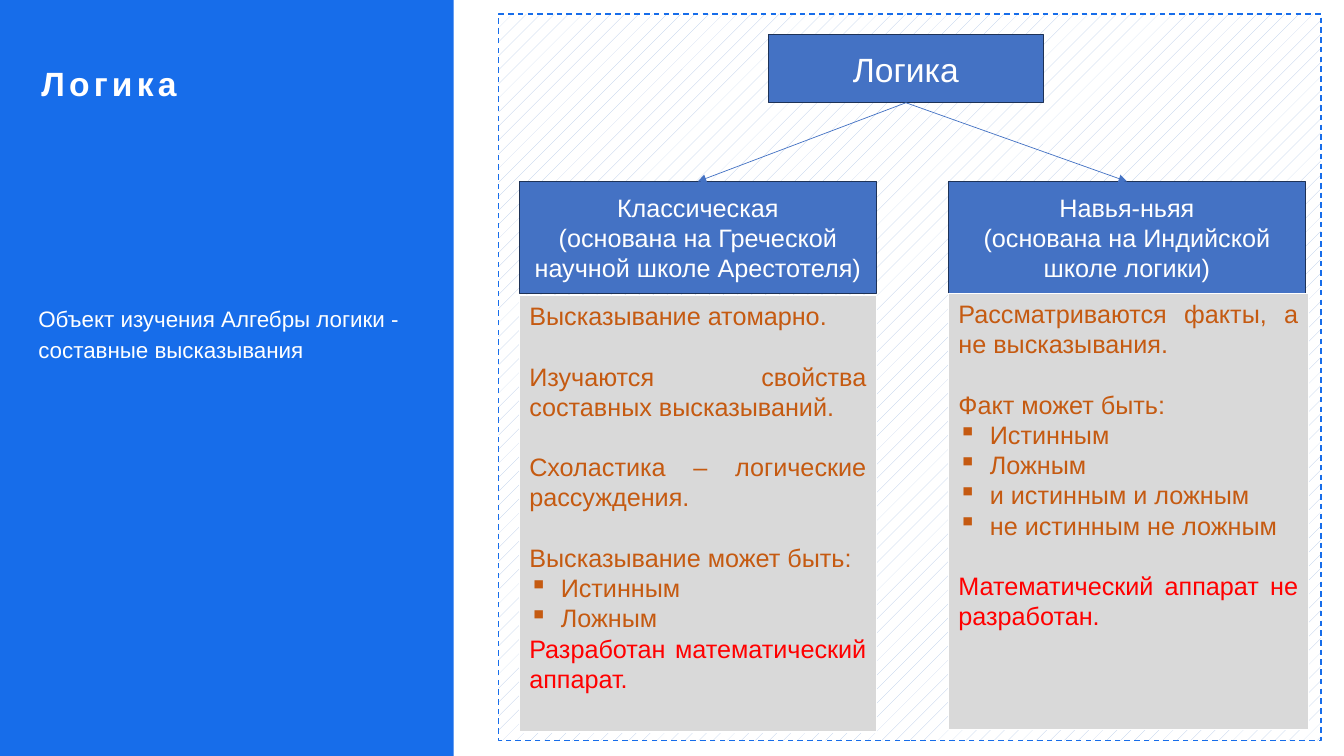
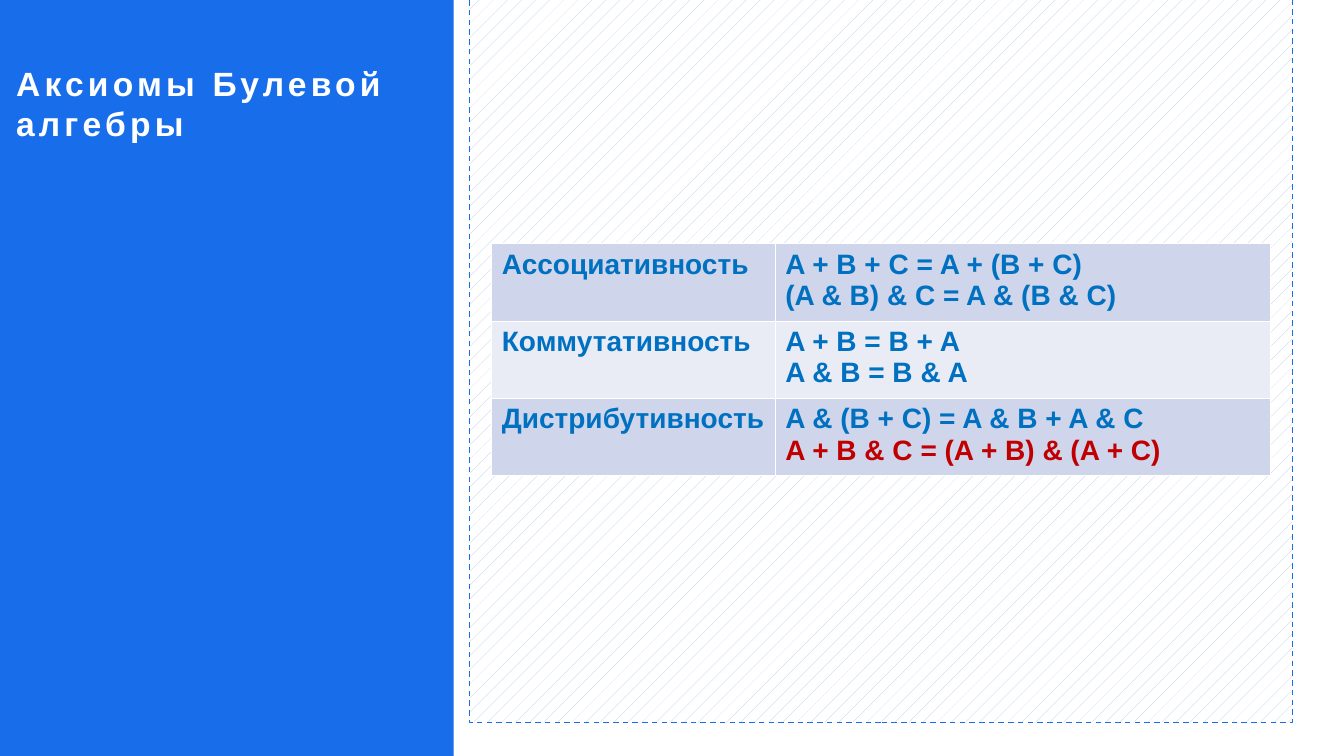
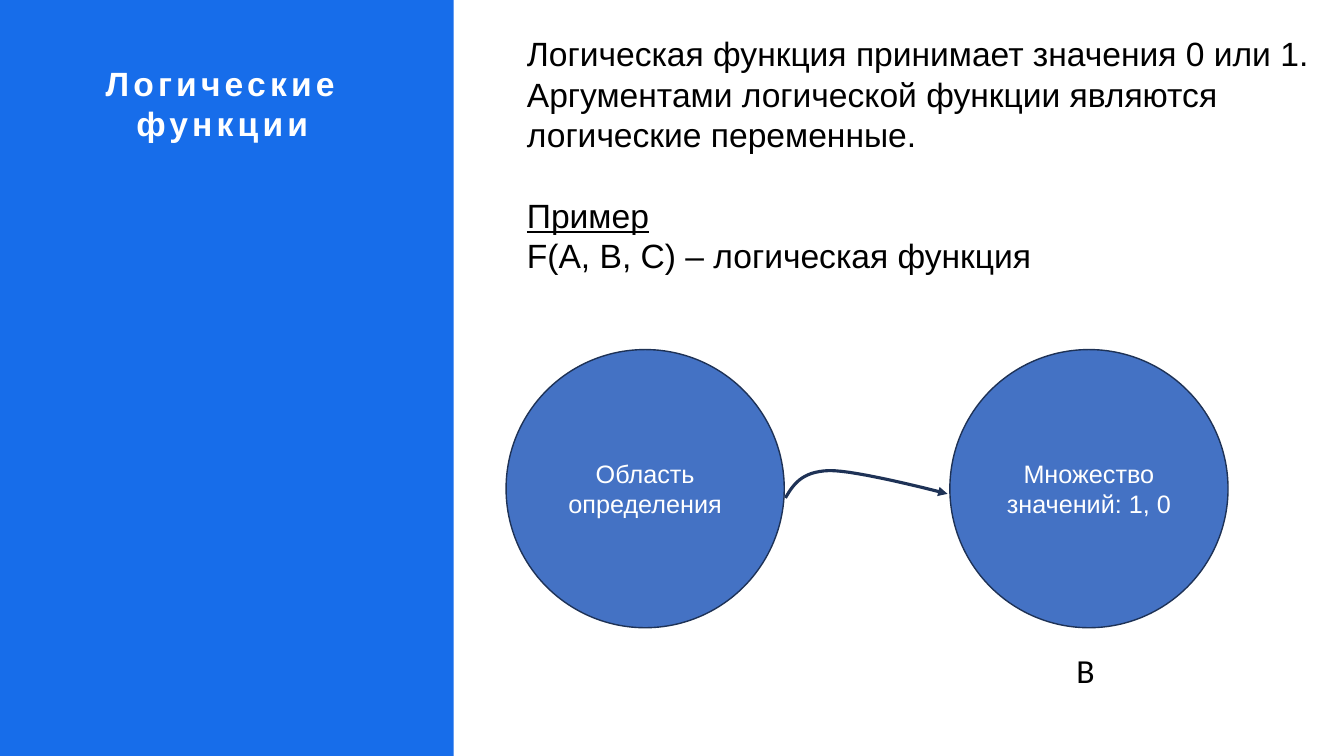
"""Builds three slides on logic: two schools, Boolean axioms, logical functions."""
import lxml.etree
import pptx
import pptx.dml.color
import pptx.enum.dml
import pptx.enum.shapes
import pptx.enum.text
import pptx.oxml.ns
import pptx.util

Pt = pptx.util.Pt
qn = pptx.oxml.ns.qn
SHAPE = pptx.enum.shapes.MSO_SHAPE
ALIGN = pptx.enum.text.PP_ALIGN
ANCHOR = pptx.enum.text.MSO_ANCHOR

BRAND, BOX, EDGE, WHITE, BLACK = "176DEA", "4472C4", "1E3256", "FFFFFF", "000000"
GREY, BROWN, RED = "D9D9D9", "C55A11", "FF0000"
AXIOM, AXIOM_RED, ROW_FILLS = "0070C0", "C00000", ("CFD5EA", "E9EBF5")
LEADING = 1.2

GAP = {"gap": True}
BULLET = {"bullet": True}
SUBJECT = "Объект изучения Алгебры логики - составные высказывания"
SCHOOLS = [
    {"left": 371, "width": 255, "top": 211,
     "head": ["Классическая", "(основана на Греческой научной школе Арестотеля)"],
     "body": [("Высказывание атомарно.", {}),
              ("Изучаются свойства составных высказываний.", GAP),
              ("Схоластика – логические рассуждения.", GAP),
              ("Высказывание может быть:", GAP),
              ("Истинным", BULLET),
              ("Ложным", BULLET),
              ("Разработан математический аппарат.", {"color": RED})]},
    {"left": 677.5, "width": 257, "top": 209.5,
     "head": ["Навья-ньяя", "(основана на Индийской школе логики)"],
     "body": [("Рассматриваются факты, а не высказывания.", {}),
              ("Факт может быть:", GAP),
              ("Истинным", BULLET),
              ("Ложным", BULLET),
              ("и истинным и ложным", BULLET),
              ("не истинным не ложным", BULLET),
              ("Математический аппарат не разработан.", {"color": RED, "gap": True})]},
]
AXIOMS = [
    ("Ассоциативность", [("A + B + C = A + (B + C)", {}), ("(A & B) & C = A & (B & C)", {})]),
    ("Коммутативность", [("A + B = B + A", {}), ("A & B = B & A", {})]),
    ("Дистрибутивность", [("A & (B + C) = A & B + A & C", {}),
                          ("A + B & C = (A + B) & (A + C)", {"color": AXIOM_RED})]),
]
FUNCTION_TEXT = [
    ("Логическая функция принимает значения 0 или 1.", {}),
    ("Аргументами логической функции являются логические переменные.", {}),
    ("Пример", {"gap": True, "underline": True}),
    ("F(A, B, C) – логическая функция", {}),
]
SETS = [(361.5, "Область определения"), (678.5, "Множество значений: 1, 0")]
CURVE = [[(561, 355.7), (566.6, 346.3), (572.4, 337), (591.8, 336.2)],
         [(591.8, 336.2), (611.3, 335.5), (676.8, 352.8), (676.8, 352.8)]]


def rgb(value):
    return pptx.dml.color.RGBColor.from_string(value)


def write(tf, lines, size, color, align=ALIGN.LEFT, bold=False, font="Arial", leading=LEADING):
    tf.word_wrap = True
    for i, (text, look) in enumerate(lines):
        p = tf.paragraphs[0] if i == 0 else tf.add_paragraph()
        p.text = text
        p.alignment = align
        if leading:
            p.line_spacing = Pt(size * leading)
        if look.get("gap"):
            p.space_before = Pt(size * leading)
        p.font.name, p.font.size, p.font.bold = font, Pt(size), bold
        p.font.underline = look.get("underline", False)
        p.font.color.rgb = rgb(look.get("color", color))
        if look.get("bullet"):
            pPr = p._p.get_or_add_pPr()
            pPr.set("marL", str(Pt(22.5)))
            pPr.set("indent", str(-Pt(22.5)))
            mark = lxml.etree.Element(qn("a:buChar"), char="▪")
            pPr.find(qn("a:defRPr")).addprevious(mark)


def add_box(s, kind, at, fill=None, line=None, width=1):
    sp = s.shapes.add_shape(kind, *map(Pt, at))
    sp.shadow.inherit = False
    if fill:
        sp.fill.solid()
        sp.fill.fore_color.rgb = rgb(fill)
    if line:
        sp.line.color.rgb = rgb(line)
        sp.line.width = Pt(width)
    else:
        sp.line.fill.background()
    return sp


def add_node(s, kind, at, texts, size=18):
    sp = add_box(s, kind, at, BOX, EDGE)
    sp.text_frame.vertical_anchor = ANCHOR.MIDDLE
    write(sp.text_frame, [(text, {}) for text in texts], size, WHITE, ALIGN.CENTER)
    return sp


def add_text(s, at, lines, size, color, inset=True, **style):
    sp = s.shapes.add_textbox(*map(Pt, at))
    if not inset:
        clear_insets(sp.text_frame)
    write(sp.text_frame, lines, size, color, **style)


def clear_insets(tf):
    tf.margin_left = tf.margin_top = tf.margin_right = tf.margin_bottom = 0


def add_slide(prs, title, left, align=ALIGN.LEFT):
    s = prs.slides.add_slide(prs.slide_layouts[5])
    sp = s.shapes.title
    sp.left, sp.top, sp.width, sp.height = Pt(left), Pt(44.6), Pt(294.5), Pt(58)
    tf = sp.text_frame
    clear_insets(tf)
    tf.auto_size = pptx.enum.text.MSO_AUTO_SIZE.NONE
    tf.vertical_anchor = ANCHOR.TOP
    write(tf, [(title, {})], 24, WHITE, align, bold=True)
    tf.paragraphs[0].runs[0]._r.get_or_add_rPr().set("spc", "300")
    band = add_box(s, SHAPE.RECTANGLE, (0, 0, 324, 540), BRAND)
    sp.element.addprevious(band.element)
    return s


def add_panel(s, left, top):
    sp = add_box(s, SHAPE.RECTANGLE, (left, top, 587.5, 519), line=BRAND)
    sp.fill.patterned()
    sp.fill.pattern = pptx.enum.dml.MSO_PATTERN.PERCENT_5
    sp.fill.fore_color.rgb = rgb("B4C7E7")
    sp.fill.back_color.rgb = rgb(WHITE)
    sp.line.dash_style = pptx.enum.dml.MSO_LINE.DASH


def add_arrowhead(sp):
    lxml.etree.SubElement(sp.line._get_or_add_ln(), qn("a:tailEnd"), type="triangle")


def connect(s, start, end):
    c = s.shapes.add_connector(pptx.enum.shapes.MSO_CONNECTOR.STRAIGHT, 0, 0, 0, 0)
    c.begin_connect(start, 2)
    c.end_connect(end, 0)
    c.line.color.rgb = rgb(BOX)
    c.line.width = Pt(0.5)
    add_arrowhead(c)
    lxml.etree.SubElement(c._element.spPr, qn("a:effectLst"))


def fill_cell(cell, lines, fill):
    cell.fill.solid()
    cell.fill.fore_color.rgb = rgb(fill)
    write(cell.text_frame, lines, 20, AXIOM, bold=True, leading=None)
    tcPr = cell._tc.get_or_add_tcPr()
    for i, side in enumerate(("lnL", "lnR", "lnT", "lnB")):
        ln = lxml.etree.Element(qn("a:" + side), w=str(Pt(1)))
        solid = lxml.etree.SubElement(ln, qn("a:solidFill"))
        lxml.etree.SubElement(solid, qn("a:srgbClr"), val=WHITE)
        tcPr.insert(i, ln)


def bezier(points, t):
    weights = ((1 - t) ** 3, 3 * t * (1 - t) ** 2, 3 * t * t * (1 - t), t ** 3)
    return tuple(Pt(sum(w * p[axis] for w, p in zip(weights, points))) for axis in (0, 1))


def add_curve(s, curve, steps=16):
    points = [bezier(part, i / steps) for part in curve for i in range(1, steps + 1)]
    builder = s.shapes.build_freeform(*map(Pt, curve[0][0]))
    builder.add_line_segments(points, close=False)
    sp = builder.convert_to_shape()
    sp.shadow.inherit = False
    sp.fill.background()
    sp.line.color.rgb = rgb(EDGE)
    sp.line.width = Pt(2.25)
    add_arrowhead(sp)


def build_schools(prs):
    s = add_slide(prs, "Логика", 29.5)
    add_text(s, (27.4, 215.3, 273.6, 44.2), [(SUBJECT, {})], 16, WHITE, inset=False, leading=1.38)
    add_panel(s, 356.2, 10)
    root = add_node(s, SHAPE.RECTANGLE, (548.8, 24.7, 196.6, 48.7), ["Логика"], 24)
    for school in SCHOOLS:
        left = school["left"]
        head = add_node(s, SHAPE.RECTANGLE, (left, 129.6, 255, 80), school["head"])
        body = add_box(s, SHAPE.RECTANGLE, (left, school["top"], school["width"], 311.8), GREY, WHITE)
        body.text_frame.vertical_anchor = ANCHOR.TOP
        write(body.text_frame, school["body"], 18, BROWN, ALIGN.JUSTIFY)
        connect(s, root, head)


def build_axioms(prs):
    s = add_slide(prs, "Аксиомы Булевой алгебры", 11.5)
    add_panel(s, 335.6, -3)
    widths, row_height = (202.5, 353.8), 55.2
    frame = s.shapes.add_table(len(AXIOMS), 2, Pt(351.3), Pt(174.2),
                               Pt(sum(widths)), Pt(row_height * len(AXIOMS)))
    table = frame.table
    table.first_row = table.horz_banding = False
    for column, width in zip(table.columns, widths):
        column.width = Pt(width)
    for i, (name, formulas) in enumerate(AXIOMS):
        table.rows[i].height = Pt(row_height)
        for j, lines in enumerate(([(name, {})], formulas)):
            fill_cell(table.cell(i, j), lines, ROW_FILLS[i % 2])


def build_functions(prs):
    s = add_slide(prs, "Логические функции", 11.5, ALIGN.CENTER)
    add_text(s, (369.3, 20.2, 576, 184), FUNCTION_TEXT, 24, BLACK)
    for left, text in SETS:
        add_node(s, SHAPE.OVAL, (left, 249.7, 198.7, 198.7), [text])
    add_text(s, (761.8, 460.8, 31, 36), [("B", {})], 24, BLACK, font="Calibri", leading=None)
    add_curve(s, CURVE)


def main():
    prs = pptx.Presentation()
    prs.slide_width, prs.slide_height = Pt(960), Pt(540)
    build_schools(prs)
    build_axioms(prs)
    build_functions(prs)
    prs.save("out.pptx")


if __name__ == "__main__":
    main()
